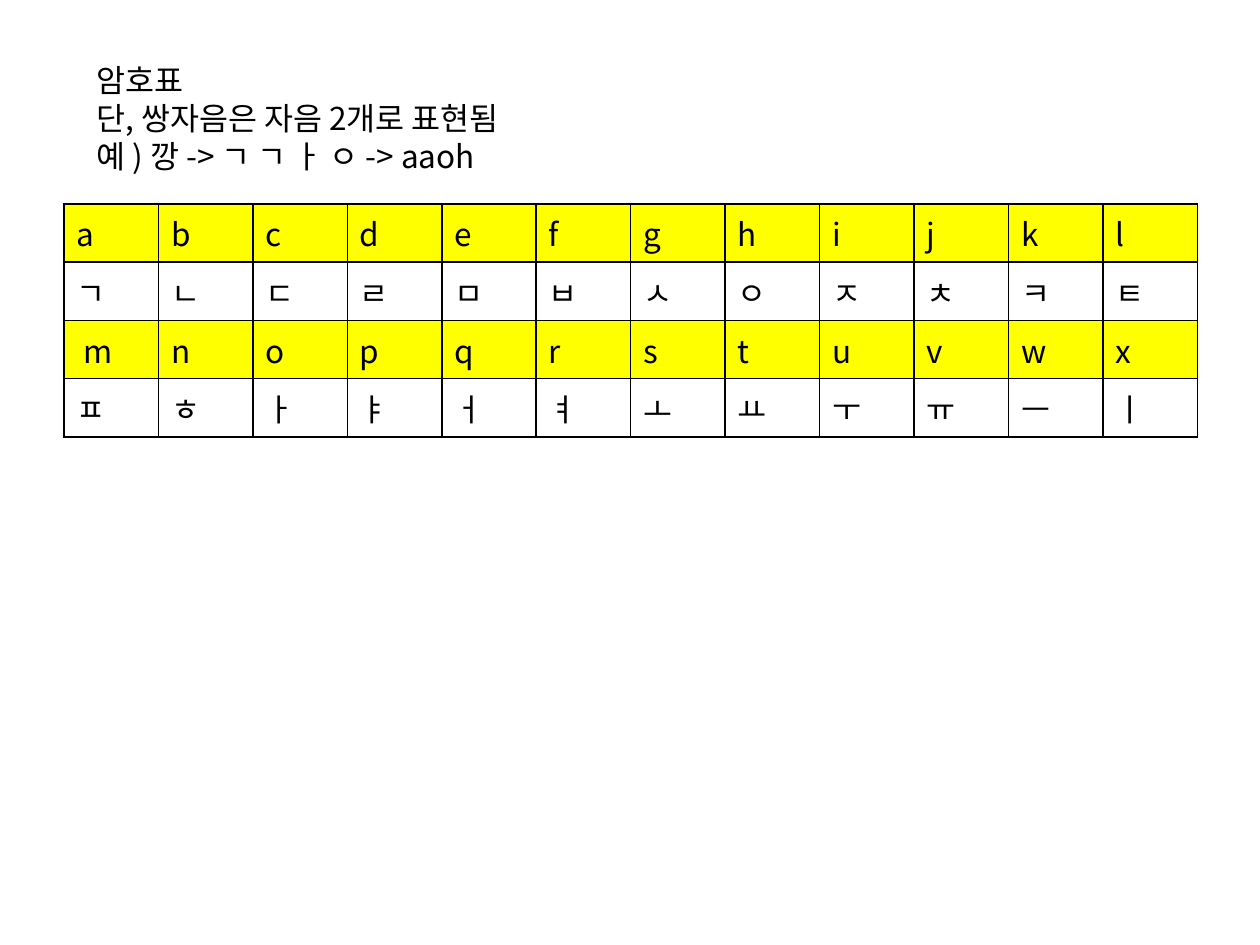
from lxml import etree
from pptx import Presentation, util as u
from pptx.dml.color import RGBColor
from pptx.enum import text
from pptx.oxml import ns

BLACK = RGBColor(0x00, 0x00, 0x00)
YELLOW = RGBColor(0xFF, 0xFF, 0x00)
SCALE = 914400 // 126


def px(length):
    return u.Emu(length * SCALE)


class CipherSlide:
    font_name = "Noto Sans CJK KR"
    font_format = {"name": font_name, "size": u.Pt(18), "bold": False}

    def __init__(self, deck):
        self.shapes = deck.slides.add_slide(deck.slide_layouts[6]).shapes

    def set_lines(self, frame, lines):
        frame.text = "\n".join(lines)
        for paragraph in frame.paragraphs:
            for run in paragraph.runs:
                for key, value in self.font_format.items():
                    setattr(run.font, key, value)
                run.font.color.rgb = BLACK
                east_asian = etree.SubElement(run.font._element, ns.qn("a:ea"))
                east_asian.set("typeface", self.font_name)

    def note(self, left, top, width, height, lines):
        frame = self.shapes.add_textbox(*map(px, (left, top, width, height))).text_frame
        self.set_lines(frame, lines)
        settings = {"word_wrap": False, "auto_size": text.MSO_AUTO_SIZE.SHAPE_TO_FIT_TEXT}
        for key, value in settings.items():
            setattr(frame, key, value)

    def border(self, cell):
        properties = cell._tc.get_or_add_tcPr()
        for side in ("lnL", "lnR", "lnT", "lnB"):
            line = etree.SubElement(properties, ns.qn(f"a:{side}"), w=str(u.Pt(1)))
            fill = etree.SubElement(line, ns.qn("a:solidFill"))
            etree.SubElement(fill, ns.qn("a:srgbClr"), val=str(BLACK))

    def table(self, left, top, width, height, rows):
        grid = self.shapes.add_table(
            len(rows), len(rows[0]), *map(px, (left, top, width, height))
        ).table
        for key in ("first_row", "horz_banding"):
            setattr(grid, key, False)
        for r, row in enumerate(rows):
            for c, symbol in enumerate(row):
                cell = grid.cell(r, c)
                self.set_lines(cell.text_frame, [symbol])
                self.border(cell)
                if r % 2 == 0:
                    cell.fill.solid()
                    cell.fill.fore_color.rgb = YELLOW
                else:
                    cell.fill.background()


deck = Presentation()
deck.slide_width, deck.slide_height = u.Inches(10), u.Inches(7.5)
cipher = CipherSlide(deck)
cipher.table(64, 204, 1134, 204, [
    list("abcdefghijkl"),
    list("ㄱㄴㄷㄹㅁㅂㅅㅇㅈㅊㅋㅌ"),
    [" m", *"nopqrstuvwx"],
    list("ㅍㅎㅏㅑㅓㅕㅗㅛㅜㅠㅡㅣ"),
])
cipher.note(84, 55, 476, 127, [
    "암호표",
    "단, 쌍자음은 자음 2개로 표현됨",
    "예 ) 깡 -> ㄱ ㄱ ㅏ ㅇ -> aaoh",
])
deck.save("out.pptx")
